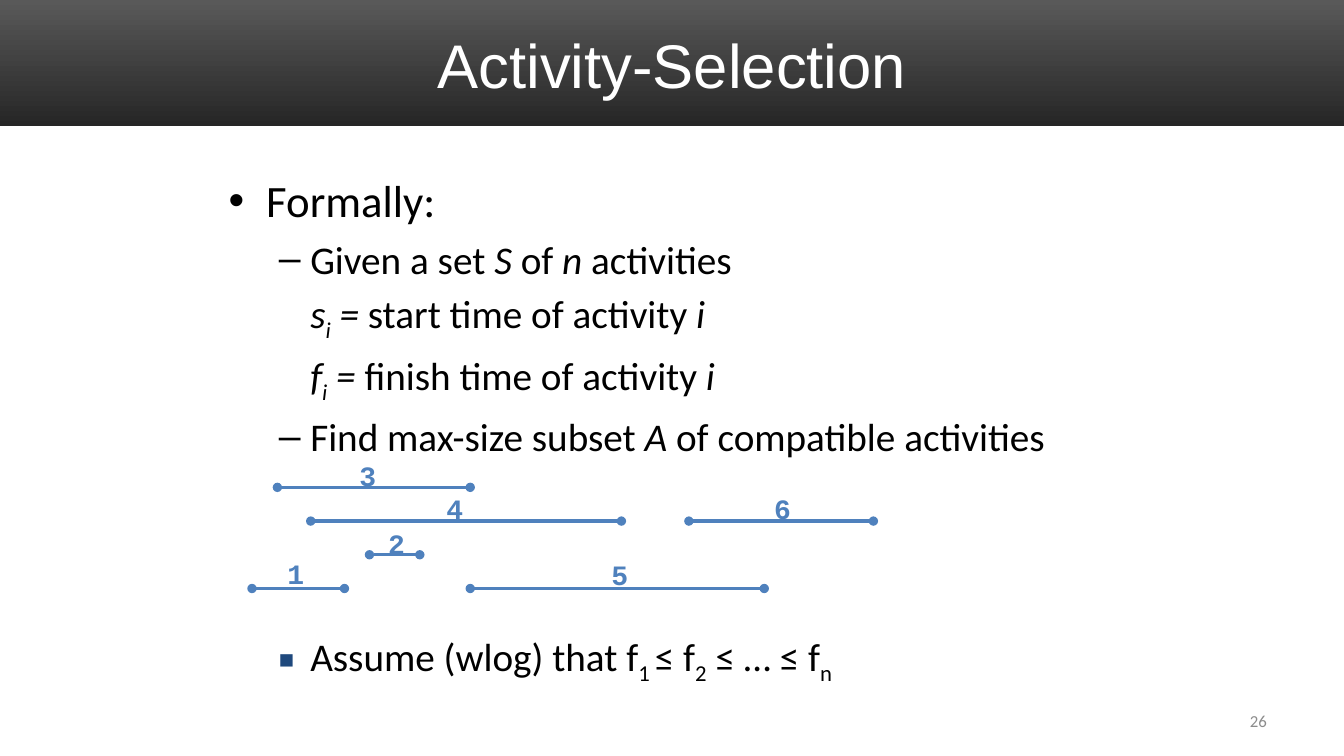
from lxml import etree
from pptx import Presentation
from pptx.dml.color import RGBColor
from pptx.enum.shapes import MSO_CONNECTOR, MSO_SHAPE
from pptx.enum.text import MSO_ANCHOR, PP_ALIGN
from pptx.oxml.ns import qn
from pptx.util import Cm, Pt

RECTANGLE = MSO_SHAPE.RECTANGLE
STRAIGHT = MSO_CONNECTOR.STRAIGHT
TOP, MIDDLE = MSO_ANCHOR.TOP, MSO_ANCHOR.MIDDLE
LEFT, CENTER, RIGHT = PP_ALIGN.LEFT, PP_ALIGN.CENTER, PP_ALIGN.RIGHT
WHITE = RGBColor(0xFF, 0xFF, 0xFF)
BLACK = RGBColor(0, 0, 0)
GRAY = RGBColor(0x8C, 0x8C, 0x8C)
BLUE = RGBColor(0x4F, 0x81, 0xBD)
NAVY = RGBColor(0x1F, 0x49, 0x7D)
BAND_TOP = RGBColor(0x59, 0x59, 0x59)
BAND_BOTTOM = RGBColor(0x26, 0x26, 0x26)

TITLE = "Activity-Selection"
PAGE_NUMBER = "26"
PLAIN, ITALIC, SUB, ITALIC_SUB = "", "i", "s", "is"
DEFINITION = [
    ("•", [("Formally:", PLAIN)]),
    ("–", [("Given a set ", PLAIN), ("S", ITALIC), (" of ", PLAIN),
           ("n", ITALIC), (" activities", PLAIN)]),
    ("", [("s", ITALIC), ("i", ITALIC_SUB), (" = ", ITALIC),
          ("start time of activity ", PLAIN), ("i", ITALIC)]),
    ("", [("f", ITALIC), ("i", ITALIC_SUB), (" = ", ITALIC),
          ("finish time of activity ", PLAIN), ("i", ITALIC)]),
    ("–", [("Find max-size subset ", PLAIN), ("A", ITALIC),
           (" of compatible activities", PLAIN)]),
]
ASSUMPTION = [
    ("■", [("Assume (wlog) that f", PLAIN), ("1 ", SUB), ("≤ f", PLAIN),
           ("2", SUB), (" ≤ … ≤ f", PLAIN), ("n", SUB)]),
]
# label: (row, start, finish, label left, label top)
ACTIVITIES = {
    "1": (3, 6.35, 8.68, 6.99, 13.89),
    "2": (2, 9.31, 10.58, 9.53, 13.13),
    "3": (0, 6.99, 11.85, 8.81, 11.43),
    "4": (1, 7.83, 15.66, 11.0, 12.27),
    "5": (3, 11.85, 19.26, 15.16, 13.92),
    "6": (1, 17.36, 22.01, 19.26, 12.27),
}
FIRST_ROW, ROW_STEP = 12.28, 0.85


def add_box(page, left, top, width, height, anchor=TOP, wrap=True):
    box = page.shapes.add_textbox(Cm(left), Cm(top), Cm(width), Cm(height))
    box.text_frame.word_wrap = wrap
    box.text_frame.vertical_anchor = anchor
    return box.text_frame


def style(para, size, font, color, align=LEFT, bold=False):
    para.alignment = align
    para.font.size = Pt(size)
    para.font.name = font
    para.font.color.rgb = color
    para.font.bold = bold


def add_label(page, place, text, size, font, color, align=LEFT, bold=False,
              anchor=TOP, wrap=True):
    para = add_box(page, *place, anchor, wrap).paragraphs[0]
    para.text = text
    style(para, size, font, color, align, bold)


def set_bullet(para, bullet):
    margin, hang = (0.95, 0.95) if bullet == "•" else (2.06, 0.79)
    props = para._p.get_or_add_pPr()
    props.set("marL", str(Cm(margin)))
    props.set("indent", str(-Cm(hang) if bullet else 0))
    if not bullet:
        etree.SubElement(props, qn("a:buNone"))
        return
    if bullet == "■":
        tint = etree.SubElement(props, qn("a:buClr"))
        etree.SubElement(tint, qn("a:srgbClr"), val=str(NAVY))
        etree.SubElement(props, qn("a:buSzPct"), val="65000")
    etree.SubElement(props, qn("a:buFont"), typeface="Arial")
    etree.SubElement(props, qn("a:buChar"), char=bullet)


def add_bullets(page, place, items):
    frame = add_box(page, *place)
    for index, (bullet, spans) in enumerate(items):
        para = frame.add_paragraph() if index else frame.paragraphs[0]
        set_bullet(para, bullet)
        if index:
            para.space_before = Pt(5.6)
        style(para, 32 if bullet == "•" else 28, "Calibri", BLACK)
        for text, marks in spans:
            span = para.add_run()
            span.text = text
            if "i" in marks:
                span.font.italic = True
            if "s" in marks:
                span._r.get_or_add_rPr().set("baseline", "-25000")


def add_interval(page, start, finish, y):
    line = page.shapes.add_connector(STRAIGHT, Cm(start), Cm(y), Cm(finish), Cm(y))
    line.line.color.rgb = BLUE
    line.line.width = Pt(2.25)
    for end in ("a:headEnd", "a:tailEnd"):
        etree.SubElement(line.line._get_or_add_ln(), qn(end), type="oval")
    etree.SubElement(line._element.spPr, qn("a:effectLst"))


def add_band(page, width):
    band = page.shapes.add_shape(RECTANGLE, 0, 0, width, Cm(3.18))
    band.shadow.inherit = False
    band.line.fill.background()
    band.fill.gradient()
    band.fill.gradient_angle = 270
    for stop, color in zip(band.fill.gradient_stops, (BAND_TOP, BAND_BOTTOM)):
        stop.color.rgb = color


def main():
    deck = Presentation()
    deck.slide_width, deck.slide_height = Cm(33.87), Cm(19.05)
    page = deck.slides.add_slide(deck.slide_layouts[6])
    add_band(page, deck.slide_width)
    add_label(page, (1.7, 0.43, 30.48, 2.34), TITLE, 44, "Arial", WHITE,
              CENTER, anchor=MIDDLE)
    add_bullets(page, (5.51, 4.24, 22.86, 7.62), DEFINITION)
    for row, start, finish, _, _ in ACTIVITIES.values():
        add_interval(page, start, finish, FIRST_ROW + row * ROW_STEP)
    add_bullets(page, (5.51, 15.82, 22.86, 2.74), ASSUMPTION)
    for name, (_, _, _, left, top) in ACTIVITIES.items():
        add_label(page, (left, top, 0.94, 1.09), name, 20, "Courier New", BLUE,
                  bold=True, wrap=False)
    add_label(page, (24.28, 17.65, 7.9, 1.02), PAGE_NUMBER, 12, "Calibri", GRAY,
              RIGHT, anchor=MIDDLE)
    deck.save("out.pptx")


if __name__ == "__main__":
    main()
